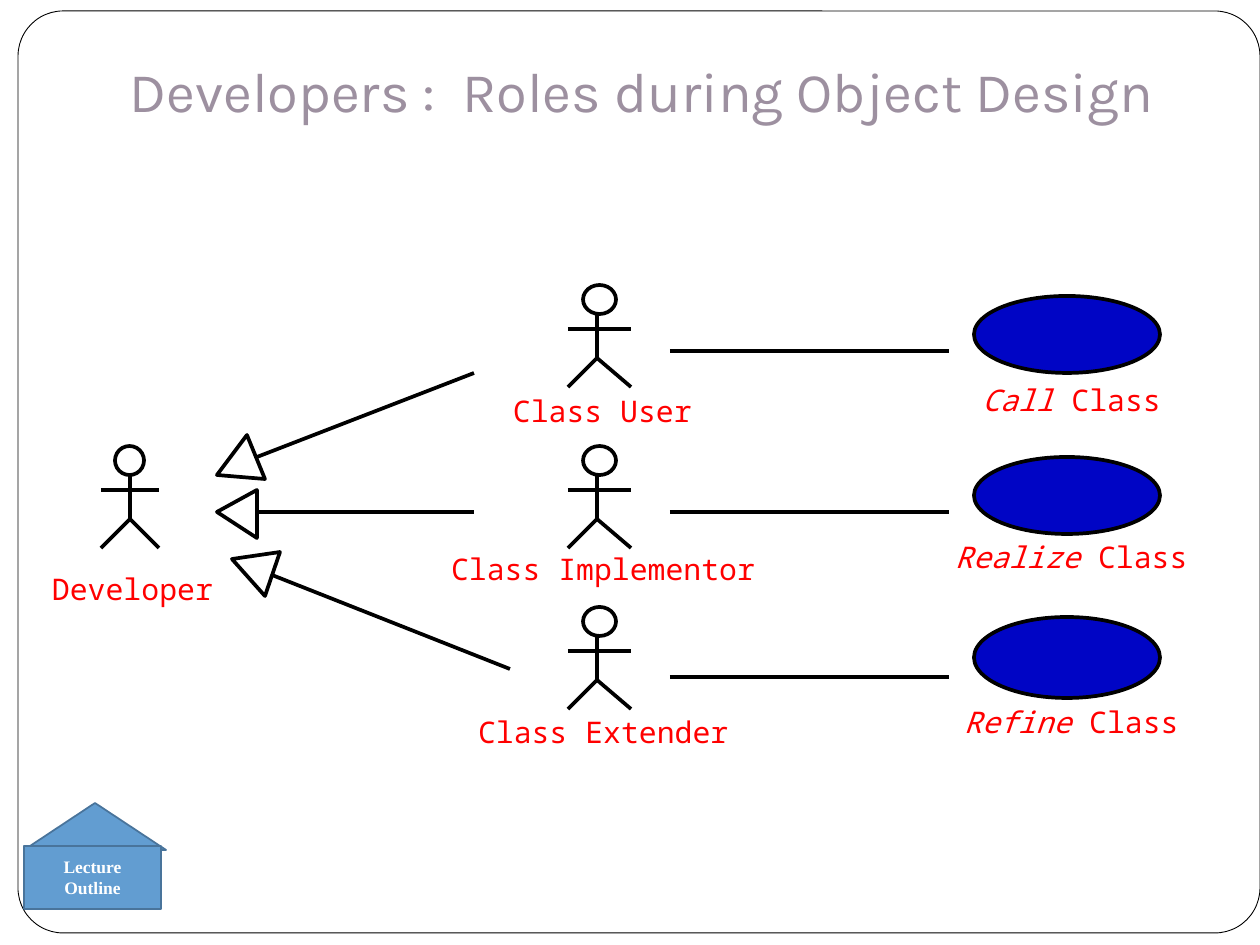
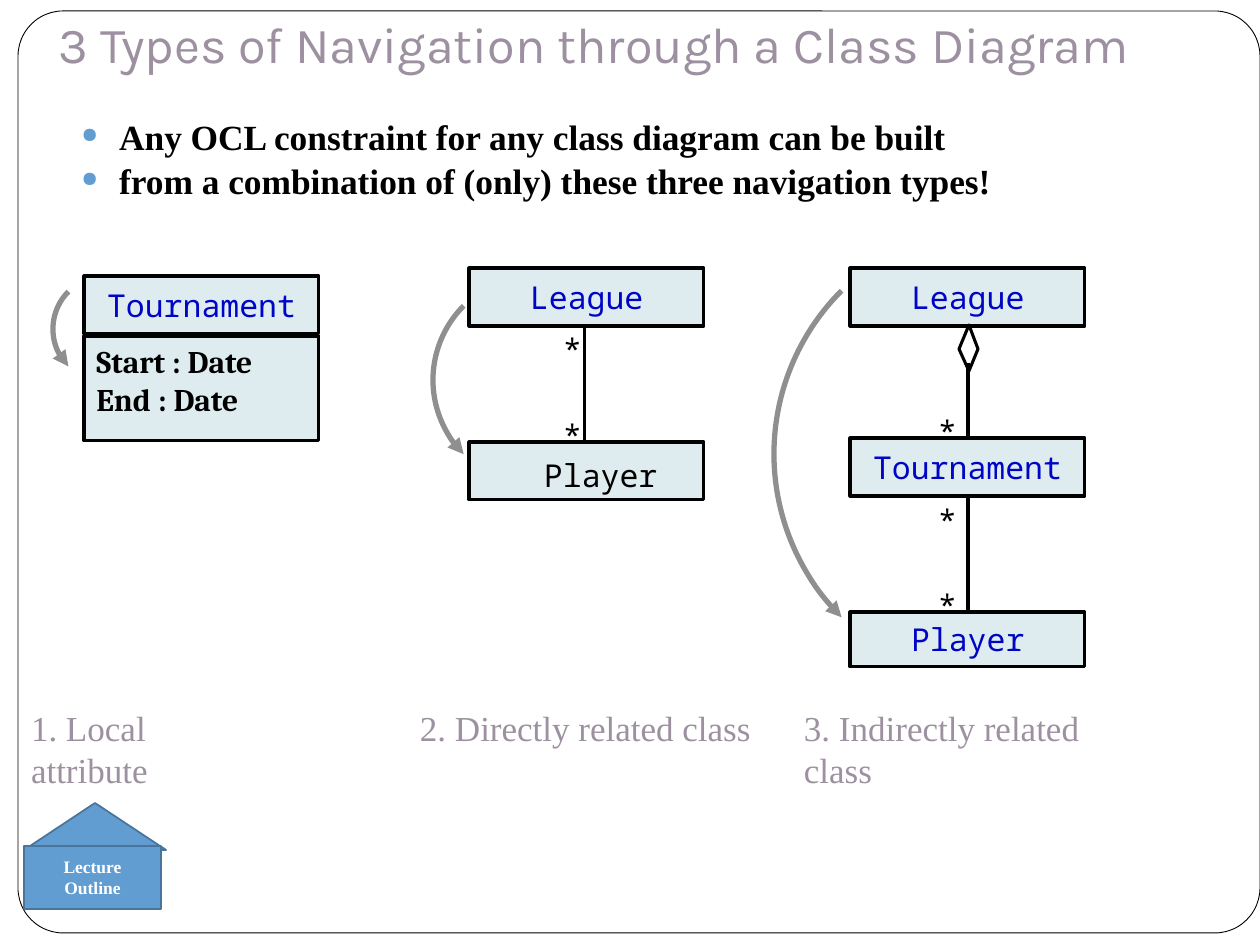
"""Build two slides on object design roles and class diagram navigation."""
from dataclasses import dataclass
from typing import Any

import lxml.etree
import pptx
import pptx.dml.color
import pptx.enum.shapes
import pptx.enum.text
import pptx.oxml.ns
import pptx.util

RGBColor = pptx.dml.color.RGBColor
Shapes = pptx.enum.shapes.MSO_SHAPE
Anchor = pptx.enum.text.MSO_ANCHOR
Align = pptx.enum.text.PP_ALIGN
qn = pptx.oxml.ns.qn

PIXEL = 914400 / 126
WHITE = RGBColor(0xFF, 0xFF, 0xFF)
BLACK = RGBColor(0, 0, 0)
RED = RGBColor(0xFF, 0, 0)
BLUE = RGBColor(0, 0x05, 0xC5)
PALE = RGBColor(0xDE, 0xEC, 0xEF)
MAUVE = RGBColor(0x9D, 0x90, 0xA0)
ACCENT = RGBColor(0x62, 0x9D, 0xD1)
ACCENT_DARK = RGBColor(0x49, 0x74, 0x9B)
GRAY = RGBColor(0x8F, 0x8F, 0x8F)
TITLE_FONT = "Karla"
BODY_FONT = "Times New Roman"
CODE_FONT = "Noto Sans Mono"
ACTOR_LINE = 2.13
CLASS_LINE = 1.75
BOX_WIDTH = 235
CODE_HEIGHT = 38
CODE_SLACK = 6


@dataclass(frozen=True)
class Style:
    """Look of a run of text."""
    font: str
    size: float
    color: RGBColor
    bold: bool = False


@dataclass(frozen=True)
class Actor:
    """Stick figure with its name below."""
    left: int
    top: int
    spine: int
    right: int
    head_left: int
    head_width: int
    name: str
    name_left: int
    name_top: int


@dataclass(frozen=True)
class UseCase:
    """Ellipse with an italic verb below."""
    top: int
    height: int
    verb: str
    label_left: int
    label_top: int


@dataclass(frozen=True)
class Generalization:
    """Line ending in a hollow triangle."""
    start: tuple[int, int]
    end: tuple[int, int]
    triangle: list[tuple[int, int]]


@dataclass(frozen=True)
class ClassBox:
    """Class rectangle with a centred name."""
    left: int
    top: int
    name: str
    height: int = 58
    color: RGBColor = BLUE
    shift: tuple[int, int] = (0, 0)


@dataclass(frozen=True)
class NavigationArc:
    """Quarter circle that opens to the right."""
    center_x: int
    center_y: int
    radius: int


LABEL = Style(CODE_FONT, 17, RED)
MULTIPLICITY = Style(CODE_FONT, 18, BLACK)
CAPTION = Style(BODY_FONT, 20, MAUVE)
BODY = Style(BODY_FONT, 20.2, BLACK, True)
ATTRIBUTE = Style("Cambria", 18, BLACK, True)
BUTTON = Style(BODY_FONT, 10, WHITE, True)

ACTORS = [Actor(101, 446, 130, 159, 115, 29, "Developer", 52, 571)] + [
    Actor(568, 285 + 161 * row, 597, 631, 583, 33, name, left, top)
    for row, (name, left, top) in enumerate([
        ("Class User", 513, 393), ("Class Implementor", 451, 551), ("Class Extender", 478, 714)])
]
USE_CASES = [
    UseCase(296, 77, "Call", 982, 382),
    UseCase(457, 77, "Realize", 955, 539),
    UseCase(617, 81, "Refine", 964, 704),
]
GENERALIZATIONS = [
    Generalization((474, 373), (257, 457), [(265, 479), (217, 475), (247, 435)]),
    Generalization((474, 512), (257, 512), [(257, 538), (217, 512), (257, 490)]),
    Generalization((510, 669), (272, 575), [(265, 596), (232, 559), (280, 552)]),
]
CLASS_BOXES = [
    ClassBox(84, 276, "Tournament"),
    ClassBox(469, 268, "League"),
    ClassBox(469, 442, "Player", color=BLACK, shift=(14, 4)),
    ClassBox(850, 268, "League"),
    ClassBox(850, 438, "Tournament"),
    ClassBox(850, 612, "Player", height=55),
]
ARCS = [NavigationArc(1005, 454, 231), NavigationArc(538, 380, 105), NavigationArc(106, 329, 53)]


def emu(*pixels: float) -> list[int]:
    """Turn pixels into EMU."""
    return [pptx.util.Emu(round(pixel * PIXEL)) for pixel in pixels]


def paint(shape: Any, fill: RGBColor | None, line: RGBColor | None, width: float = 1) -> None:
    """Set fill and line and drop the shadow."""
    shape.shadow.inherit = False
    if fill is None:
        shape.fill.background()
    else:
        shape.fill.solid()
        shape.fill.fore_color.rgb = fill
    if line is None:
        shape.line.fill.background()
    else:
        shape.line.color.rgb = line
        shape.line.width = pptx.util.Pt(width)


def add_preset(shapes: Any, kind: Any, box: tuple, fill: RGBColor | None,
               line: RGBColor | None, width: float) -> Any:
    """Add a painted preset shape."""
    shape = shapes.add_shape(kind, *emu(*box))
    paint(shape, fill, line, width)
    return shape


def add_path(shapes: Any, points: list[tuple[int, int]], closed: bool,
             fill: RGBColor | None, width: float) -> None:
    """Add a black freeform through points."""
    builder = shapes.build_freeform(*points[0], scale=PIXEL)
    builder.add_line_segments(points[1:], close=closed)
    paint(builder.convert_to_shape(), fill, BLACK, width)


def add_line(shapes: Any, start: tuple, end: tuple, width: float) -> None:
    """Add a straight black line."""
    connector = shapes.add_connector(pptx.enum.shapes.MSO_CONNECTOR.STRAIGHT, *emu(*start, *end))
    connector.line.color.rgb = BLACK
    connector.line.width = pptx.util.Pt(width)
    lxml.etree.SubElement(connector.element.spPr, qn("a:effectLst"))


def add_run(paragraph: Any, text: str, style: Style, italic: bool = False) -> None:
    """Add one styled run."""
    run = paragraph.add_run()
    run.text = text
    run.font.name = style.font
    run.font.size = pptx.util.Pt(style.size)
    run.font.color.rgb = style.color
    run.font.bold = style.bold
    run.font.italic = italic


def write_lines(frame: Any, lines: list[str], style: Style, align: Any = Align.LEFT) -> None:
    """Write one paragraph for each line."""
    for index, line in enumerate(lines):
        paragraph = frame.add_paragraph() if index else frame.paragraphs[0]
        paragraph.alignment = align
        add_run(paragraph, line, style)


def add_textbox(shapes: Any, box: tuple, wrap: bool, margin: int | None = None) -> Any:
    """Add a text box, with equal margins if given."""
    textbox = shapes.add_textbox(*emu(*box))
    frame = textbox.text_frame
    frame.word_wrap = wrap
    if margin is not None:
        frame.margin_left = frame.margin_top = frame.margin_right = frame.margin_bottom = margin
    return textbox


def code_width(text: str, size: float) -> int:
    """Width in pixels of monospaced text."""
    return round(len(text) * size * 0.6 * 126 / 72)


def add_code(shapes: Any, left: int, top: int, text: str, style: Style, verb: str = "") -> Any:
    """Add a monospaced label, with an italic verb first if given."""
    width = code_width(verb + text, style.size) + CODE_SLACK
    textbox = add_textbox(shapes, (left, top, width, round(style.size * 2.1)), False, 0)
    paragraph = textbox.text_frame.paragraphs[0]
    paragraph.alignment = Align.LEFT
    if verb:
        add_run(paragraph, verb, style, italic=True)
    add_run(paragraph, text, style)
    return textbox


def add_base(presentation: Any, title: str, box: tuple, size: float, align: Any) -> Any:
    """Add a slide with frame, outline button and title."""
    slide = presentation.slides.add_slide(presentation.slide_layouts[6])
    frame = add_preset(slide.shapes, Shapes.ROUNDED_RECTANGLE, (18, 11, 1242, 922), WHITE, BLACK, 0.5)
    frame.adjustments[0] = 0.049
    house = slide.shapes.add_group_shape().shapes
    add_preset(house, Shapes.ISOSCELES_TRIANGLE, (24, 803, 142, 47), ACCENT, ACCENT_DARK, 1)
    wall = add_preset(house, Shapes.RECTANGLE, (24, 846, 137, 63), ACCENT, ACCENT_DARK, 1)
    wall.text_frame.word_wrap = True
    wall.text_frame.vertical_anchor = Anchor.MIDDLE
    write_lines(wall.text_frame, ["Lecture Outline"], BUTTON, Align.CENTER)
    heading = add_textbox(slide.shapes, box, True).text_frame
    heading.margin_bottom = pptx.util.Inches(0.1)
    heading.vertical_anchor = Anchor.BOTTOM
    write_lines(heading, [title], Style(TITLE_FONT, size, MAUVE), align)
    return slide


def add_actor(shapes: Any, actor: Actor) -> None:
    """Draw a stick figure and its name."""
    neck, arms, hip, feet = (actor.top + offset for offset in (23, 44, 73, 102))
    add_path(shapes, [(actor.spine, neck), (actor.spine, hip), (actor.left, feet)], False, None, ACTOR_LINE)
    add_line(shapes, (actor.spine, hip), (actor.right, feet), ACTOR_LINE)
    add_line(shapes, (actor.left, arms), (actor.right, arms), ACTOR_LINE)
    add_preset(shapes, Shapes.OVAL, (actor.head_left, actor.top, actor.head_width, 29), WHITE, BLACK, ACTOR_LINE)
    add_code(shapes, actor.name_left, actor.name_top, actor.name, LABEL)


def add_class_box(shapes: Any, box: ClassBox) -> None:
    """Draw a class rectangle and its name."""
    group = shapes.add_group_shape().shapes
    add_preset(group, Shapes.RECTANGLE, (box.left, box.top, BOX_WIDTH, box.height), PALE, BLACK, CLASS_LINE)
    style = Style(CODE_FONT, 18, box.color)
    left = box.left + (BOX_WIDTH - code_width(box.name, style.size)) // 2 + box.shift[0]
    top = box.top + (box.height - CODE_HEIGHT) // 2 + box.shift[1]
    paint(add_code(group, left, top, box.name, style), PALE, None)


def add_arc(shapes: Any, arc: NavigationArc) -> None:
    """Draw a curved arrow that points down."""
    box = (arc.center_x - arc.radius, arc.center_y - arc.radius, 2 * arc.radius, 2 * arc.radius)
    shape = add_preset(shapes, Shapes.ARC, box, None, GRAY, 3)
    for index, degrees in enumerate((135, 225)):
        shape.adjustments[index] = degrees * 0.6
    line = shape.element.spPr.find(qn("a:ln"))
    lxml.etree.SubElement(line, qn("a:headEnd"), type="triangle")


def add_bullets(shapes: Any, lines: list[str]) -> None:
    """Add the bulleted body text."""
    textbox = add_textbox(shapes, (69, 117, 1147, 95), True)
    write_lines(textbox.text_frame, lines, BODY)
    for paragraph in textbox.text_frame.paragraphs:
        paragraph.line_spacing = 0.8
        paragraph.space_before = pptx.util.Pt(6)
    for properties in textbox.element.iter(qn("a:pPr")):
        properties.set("marL", "274320")
        properties.set("indent", "-274320")
        color = lxml.etree.SubElement(properties, qn("a:buClr"))
        lxml.etree.SubElement(color, qn("a:srgbClr"), val=str(ACCENT))
        lxml.etree.SubElement(properties, qn("a:buSzPct"), val="60000")
        lxml.etree.SubElement(properties, qn("a:buChar"), char="●")


def build_roles(presentation: Any) -> None:
    """Build the slide on developer roles."""
    shapes = add_base(presentation, "Developers :  Roles during Object Design",
                      (0, 39, 1284, 97), 32, Align.CENTER).shapes
    for actor in ACTORS:
        add_actor(shapes, actor)
    for case in USE_CASES:
        add_preset(shapes, Shapes.OVAL, (974, case.top, 186, case.height), BLUE, BLACK, ACTOR_LINE)
        add_code(shapes, case.label_left, case.label_top, " Class", LABEL, case.verb)
    for arrow in GENERALIZATIONS:
        add_path(shapes, arrow.triangle, True, None, ACTOR_LINE)
        add_line(shapes, arrow.start, arrow.end, ACTOR_LINE)
    for height in (351, 512, 677):
        add_line(shapes, (670, height), (949, height), ACTOR_LINE)


def build_navigation(presentation: Any) -> None:
    """Build the slide on navigation types."""
    shapes = add_base(presentation, "3 Types of Navigation through a Class Diagram",
                      (46, 3, 1184, 83), 28.8, Align.LEFT).shapes
    add_bullets(shapes, ["Any OCL constraint for any class diagram can be built",
                         "from a combination of (only) these three navigation types!"])
    attributes = add_preset(shapes, Shapes.RECTANGLE, (84, 336, BOX_WIDTH, 105), PALE, BLACK, CLASS_LINE)
    attributes.text_frame.vertical_anchor = Anchor.TOP
    write_lines(attributes.text_frame, ["Start : Date", "End : Date"], ATTRIBUTE)
    for box in CLASS_BOXES:
        add_class_box(shapes, box)
    add_path(shapes, [(978, 349), (969, 371), (959, 349), (969, 325)], True, WHITE, CLASS_LINE)
    for x, top, bottom in ((585, 326, 442), (968, 363, 438), (968, 494, 612)):
        add_line(shapes, (x, top), (x, bottom), CLASS_LINE)
    for left, top in ((563, 330), (563, 416), (938, 412), (938, 501), (938, 586)):
        add_code(shapes, left, top, "*", MULTIPLICITY)
    for left, width, caption in ((31, 230, "1. Local attribute"), (420, 340, "2. Directly related class"),
                                 (804, 340, "3. Indirectly related class")):
        write_lines(add_textbox(shapes, (left, 706, width, 42), True, 0).text_frame, [caption], CAPTION)
    for arc in ARCS:
        add_arc(shapes, arc)


def main() -> None:
    """Build and save the presentation."""
    presentation = pptx.Presentation()
    presentation.slide_width, presentation.slide_height = emu(1260, 945)
    build_roles(presentation)
    build_navigation(presentation)
    presentation.save("out.pptx")


main()
